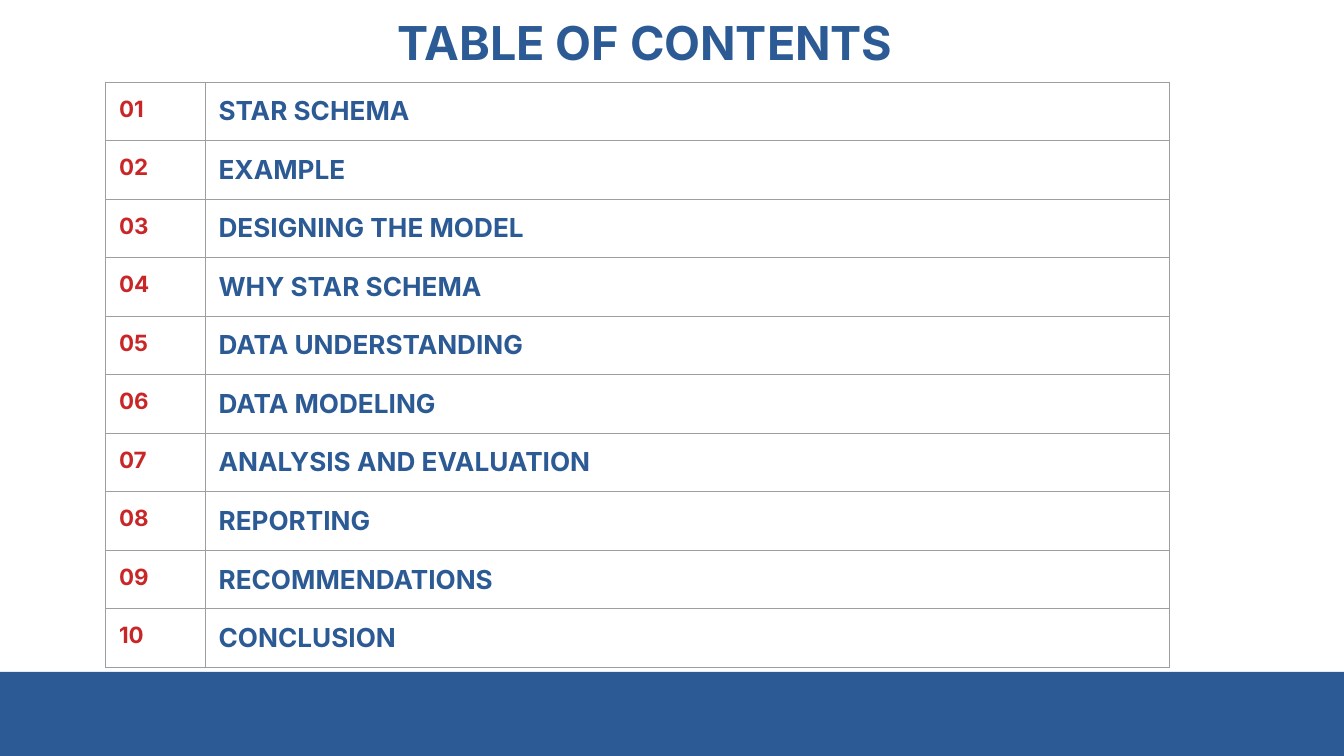
from lxml import etree
from pptx import Presentation
from pptx.dml.color import RGBColor
from pptx.enum.shapes import MSO_SHAPE
from pptx.enum.text import MSO_ANCHOR, PP_ALIGN
from pptx.oxml.ns import qn
from pptx.util import Pt

RECTANGLE = MSO_SHAPE.RECTANGLE
TOP = MSO_ANCHOR.TOP
MIDDLE = MSO_ANCHOR.MIDDLE
CENTER = PP_ALIGN.CENTER

BLUE = "2C5A94"
RED = "C92727"
GRAY = "9E9E9E"

TOPICS = [
    "STAR SCHEMA",
    "EXAMPLE",
    "DESIGNING THE MODEL",
    "WHY STAR SCHEMA",
    "DATA UNDERSTANDING",
    "DATA MODELING",
    "ANALYSIS AND EVALUATION",
    "REPORTING",
    "RECOMMENDATIONS",
    "CONCLUSION",
]


def color(value):
    return RGBColor.from_string(value)


class ContentsSlide:
    font_name = "Inter"
    inset = 7.2
    border_width = 0.75

    def __init__(self, deck):
        self.slide = deck.slides.add_slide(deck.slide_layouts[5])

    def set_insets(self, target):
        for side in ("left", "top", "right", "bottom"):
            setattr(target, f"margin_{side}", Pt(self.inset))

    def add_text(self, frame, text, size, hue, align=None):
        paragraph = frame.paragraphs[0]
        paragraph.alignment = align
        run = paragraph.add_run()
        run.text = text
        style = {"name": self.font_name, "size": Pt(size), "bold": True}
        for name, value in style.items():
            setattr(run.font, name, value)
        run.font.color.rgb = color(hue)

    def band(self, left, top, width, height, hue):
        footer = self.slide.shapes.add_shape(
            RECTANGLE, Pt(left), Pt(top), Pt(width), Pt(height))
        footer.shadow.inherit = False
        footer.fill.solid()
        footer.fill.fore_color.rgb = color(hue)
        footer.line.fill.background()

    def title(self, text, left, top, width, height):
        heading = self.slide.shapes.title
        place = {"left": left, "top": top, "width": width, "height": height}
        for name, value in place.items():
            setattr(heading, name, Pt(value))
        frame = heading.text_frame
        frame.word_wrap = True
        frame.vertical_anchor = MIDDLE
        self.set_insets(frame)
        self.add_text(frame, text, 25, BLUE, CENTER)

    def border(self, cell, hue):
        properties = cell._tc.get_or_add_tcPr()
        for side in ("lnL", "lnR", "lnT", "lnB"):
            edge = etree.SubElement(
                properties, qn(f"a:{side}"), w=str(Pt(self.border_width)))
            fill = etree.SubElement(edge, qn("a:solidFill"))
            etree.SubElement(fill, qn("a:srgbClr"), val=hue)

    def contents(self, topics, left, top, column_widths, row_height):
        table = self.slide.shapes.add_table(
            len(topics), len(column_widths), Pt(left), Pt(top),
            Pt(sum(column_widths)), Pt(row_height * len(topics))).table
        table.first_row = False
        table.horz_banding = False
        for column, width in zip(table.columns, column_widths):
            column.width = Pt(width)
        for number, (row, topic) in enumerate(zip(table.rows, topics), 1):
            row.height = Pt(row_height)
            entries = ((f"{number:02}", 12, RED), (topic, 14, BLUE))
            for cell, (text, size, hue) in zip(row.cells, entries):
                self.border(cell, GRAY)
                cell.fill.background()
                cell.vertical_anchor = TOP
                self.set_insets(cell)
                self.add_text(cell.text_frame, text, size, hue)


def main():
    deck = Presentation()
    deck.slide_width = Pt(720)
    deck.slide_height = Pt(405)
    page = ContentsSlide(deck)
    page.band(0, 360, 720, 45, BLUE)
    page.title("TABLE OF CONTENTS", 120, 0, 451, 45)
    page.contents(TOPICS, 56.6, 44, (53.3, 516.8), 31.25)
    deck.save("out.pptx")


if __name__ == "__main__":
    main()
